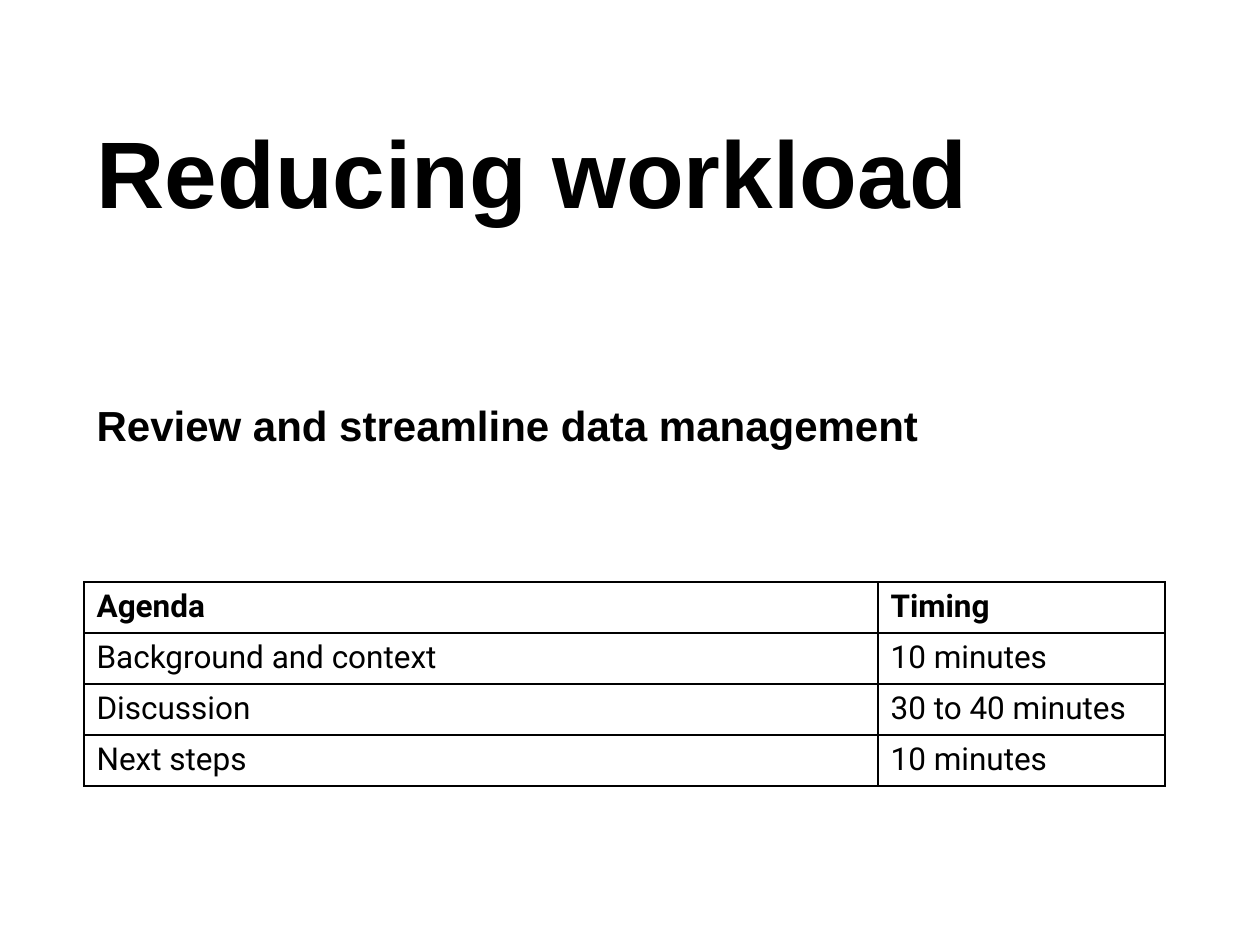
from dataclasses import dataclass

from lxml.etree import SubElement
from pptx import Presentation
from pptx.dml.color import RGBColor
from pptx.enum.text import MSO_ANCHOR, MSO_AUTO_SIZE, PP_ALIGN
from pptx.oxml.ns import qn
from pptx.util import Emu, Pt

PX_PER_INCH = 126


@dataclass(frozen=True)
class Theme:
    ink: str = "000000"
    paper: str = "FFFFFF"
    heading_font: str = "Arial"
    table_font: str = "Roboto"
    title_size: int = 54
    subtitle_size: int = 24
    table_size: int = 18
    border_width: int = 1


THEME = Theme()

AGENDA = [
    ("Agenda", "Timing"),
    ("Background and context", "10 minutes"),
    ("Discussion", "30 to 40 minutes"),
    ("Next steps", "10 minutes"),
]


def px(length):
    return Emu(round(length * 914400 / PX_PER_INCH))


def style_paragraph(paragraph, font_name, size, bold):
    paragraph.alignment = PP_ALIGN.LEFT
    paragraph.space_before = Pt(0)
    font = paragraph.font
    font.name = font_name
    font.size = Pt(size)
    font.bold = bold
    font.color.rgb = RGBColor.from_string(THEME.ink)


def fill_placeholder(shape, text, box, size, anchor):
    shape.left, shape.top, shape.width, shape.height = map(px, box)
    frame = shape.text_frame
    frame.text = text
    frame.word_wrap = True
    frame.auto_size = MSO_AUTO_SIZE.NONE
    frame.vertical_anchor = anchor
    style_paragraph(frame.paragraphs[0], THEME.heading_font, size, True)


def add_borders(cell):
    properties = cell._tc.get_or_add_tcPr()
    # Border lines must come before the fill in the cell properties
    for position, side in enumerate(("a:lnL", "a:lnR", "a:lnT", "a:lnB")):
        line = SubElement(properties, qn(side), w=str(Pt(THEME.border_width)))
        fill = SubElement(line, qn("a:solidFill"))
        SubElement(fill, qn("a:srgbClr"), val=THEME.ink)
        properties.insert(position, line)


def add_agenda_table(slide, rows, left, top, column_widths, row_height):
    frame = slide.shapes.add_table(
        len(rows), len(column_widths), px(left), px(top),
        px(sum(column_widths)), px(row_height * len(rows)))
    table = frame.table
    table.horz_banding = False
    for column, width in zip(table.columns, column_widths):
        column.width = px(width)
    for row_index, texts in enumerate(rows):
        table.rows[row_index].height = px(row_height)
        for column_index, text in enumerate(texts):
            cell = table.cell(row_index, column_index)
            cell.text = text
            cell.fill.solid()
            cell.fill.fore_color.rgb = RGBColor.from_string(THEME.paper)
            add_borders(cell)
            style_paragraph(cell.text_frame.paragraphs[0], THEME.table_font,
                            THEME.table_size, row_index == 0)


def main():
    presentation = Presentation()
    presentation.slide_width = px(1260)
    presentation.slide_height = px(945)
    slide = presentation.slides.add_slide(presentation.slide_layouts[0])

    # Title and subtitle
    fill_placeholder(slide.shapes.title, "Reducing workload",
                     (84, 76, 1071, 189), THEME.title_size, MSO_ANCHOR.MIDDLE)
    fill_placeholder(slide.placeholders[1], "Review and streamline data management",
                     (84, 393, 1091, 63), THEME.subtitle_size, MSO_ANCHOR.TOP)

    # Agenda with timings
    add_agenda_table(slide, AGENDA, left=84, top=582,
                     column_widths=(794, 287), row_height=51)

    presentation.save("out.pptx")


if __name__ == "__main__":
    main()
